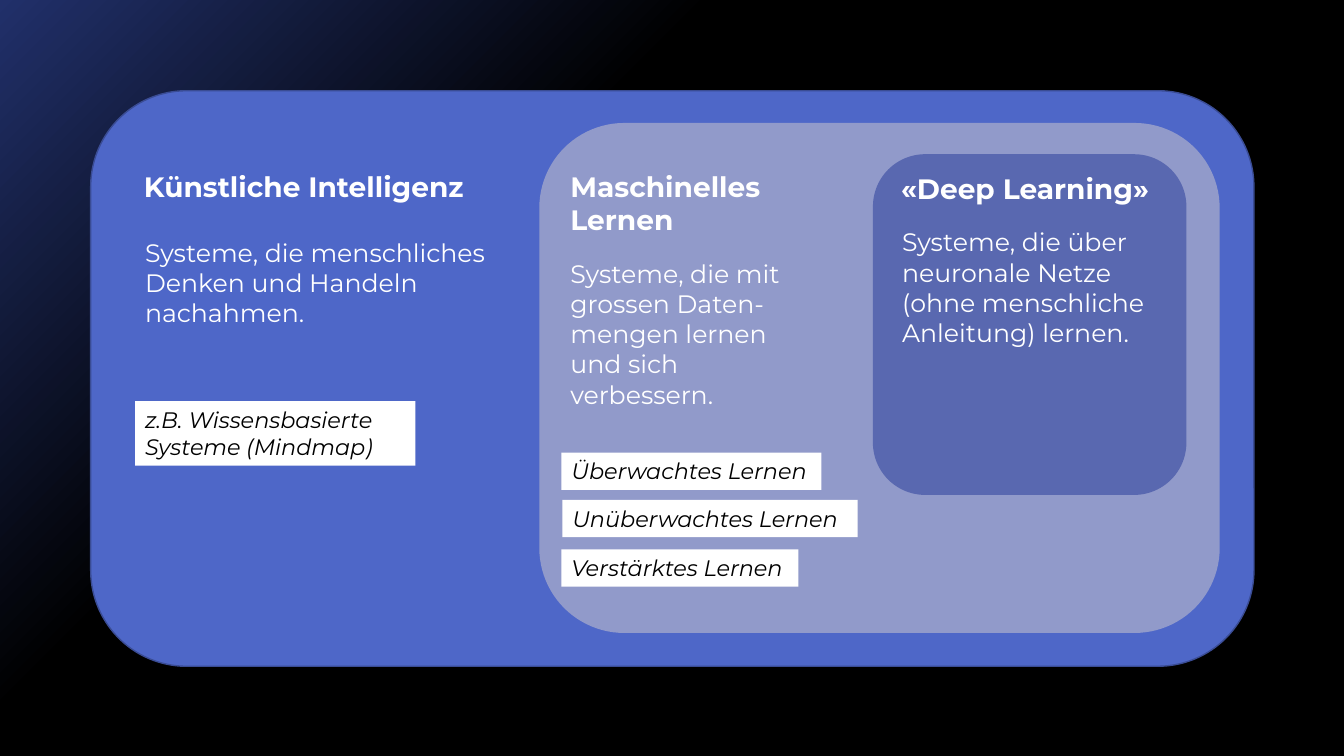
from pptx import Presentation
from pptx.dml.color import RGBColor
from pptx.enum.shapes import MSO_SHAPE
from pptx.enum.text import MSO_ANCHOR, MSO_AUTO_SIZE, PP_ALIGN
from pptx.util import Inches, Pt

ROUNDED, RECTANGLE = MSO_SHAPE.ROUNDED_RECTANGLE, MSO_SHAPE.RECTANGLE
TOP, LEFT, GROW = MSO_ANCHOR.TOP, PP_ALIGN.LEFT, MSO_AUTO_SIZE.SHAPE_TO_FIT_TEXT
CELL = Inches(0.1)
COLUMNS, ROWS = 133.33, 75
COLORS = {
    "glow": "21306A", "black": "000000", "white": "FFFFFF", "outline": "3A4C94",
    "ai": "4E67C8", "learning": "919ACA", "deep": "5968B0",
}
FORMATS = {
    "title": {"size": Pt(20), "bold": True},
    "body": {"size": Pt(18)},
    "example": {"size": Pt(16), "italic": True},
}
REGIONS = [
    {
        "box": (9, 9, 115.4, 57.1), "fill": "ai", "outline": "outline",
        "title": ("Künstliche Intelligenz", (4.3, 7.3, 36.9, 4.4)),
        "body": ("Systeme, die menschliches Denken und Handeln nachahmen.",
                 (4.4, 14, 36.9, 10.1)),
        "examples": [("z.B. Wissensbasierte Systeme (Mindmap)", (4.4, 30.8, 27.8, 6.4))],
    },
    {
        "box": (53.5, 12.2, 67.5, 50.6), "fill": "learning", "outline": None,
        "title": ("Maschinelles\nLernen", (2.1, 4.1, 36.9, 7.7)),
        "body": ("Systeme, die mit grossen Daten-mengen lernen und sich verbessern.",
                 (2.1, 12.9, 24.5, 16.2)),
        "examples": [
            ("Überwachtes Lernen", (2.2, 32.7, 25.8, 3.7)),
            ("Unüberwachtes Lernen", (2.3, 37.4, 29.3, 3.7)),
            ("Verstärktes Lernen", (2.2, 42.3, 23.5, 3.7)),
        ],
    },
    {
        "box": (86.6, 15.3, 31.1, 33.8), "fill": "deep", "outline": None,
        "title": ("«Deep Learning»", (1.8, 1.2, 36.9, 4.4)),
        "body": ("Systeme, die über neuronale Netze (ohne menschliche Anleitung) lernen.",
                 (1.9, 6.7, 27.2, 13.1)),
        "examples": [],
    },
]


def color(name):
    """Return the named colour."""
    return RGBColor.from_string(COLORS[name])


def cells(*lengths):
    """Convert grid lengths to slide units."""
    return [round(length * CELL) for length in lengths]


def add_panel(slide, kind, box, fill, outline=None):
    """Add a flat filled shape on the grid."""
    panel = slide.shapes.add_shape(kind, *cells(*box))
    panel.shadow.inherit = False
    panel.fill.solid()
    panel.fill.fore_color.rgb = color(fill)
    if outline:
        panel.line.color.rgb = color(outline)
        panel.line.width = Pt(1)
    else:
        panel.line.fill.background()
    return panel


def write_text(holder, wording, role, ink):
    """Write wording into a shape in the format of its role."""
    frame = holder.text_frame
    frame.text = wording
    layout = {"word_wrap": True, "auto_size": GROW, "vertical_anchor": TOP}
    for name, value in layout.items():
        setattr(frame, name, value)
    for paragraph in frame.paragraphs:
        paragraph.alignment = LEFT
        for run in paragraph.runs:
            run.font.color.rgb = color(ink)
            for name, value in {"name": "Montserrat", **FORMATS[role]}.items():
                setattr(run.font, name, value)


def draw_region(slide, region):
    """Draw a nested field with its title, definition and examples."""
    left, top = region["box"][:2]

    def place(offset):
        """Move a box from region to slide coordinates."""
        return (left + offset[0], top + offset[1], *offset[2:])

    for role in ("title", "body"):
        wording, offset = region[role]
        holder = slide.shapes.add_textbox(*cells(*place(offset)))
        write_text(holder, wording, role, "white")
    for wording, offset in region["examples"]:
        label = add_panel(slide, RECTANGLE, place(offset), "white")
        write_text(label, wording, "example", "black")


def paint_background(slide):
    """Let a blue glow fade to black from the top left corner."""
    fill = slide.background.fill
    fill.gradient()
    fill.gradient_angle = 315
    for stop, (position, name) in zip(fill.gradient_stops, [(0, "glow"), (0.34, "black")]):
        stop.position = position
        stop.color.rgb = color(name)


def main():
    """Build and save the slide."""
    deck = Presentation()
    deck.slide_width, deck.slide_height = cells(COLUMNS, ROWS)
    slide = deck.slides.add_slide(deck.slide_layouts[6])
    paint_background(slide)
    for region in REGIONS:
        add_panel(slide, ROUNDED, region["box"], region["fill"], region["outline"])
    for region in REGIONS:
        draw_region(slide, region)
    deck.save("out.pptx")


if __name__ == "__main__":
    main()
